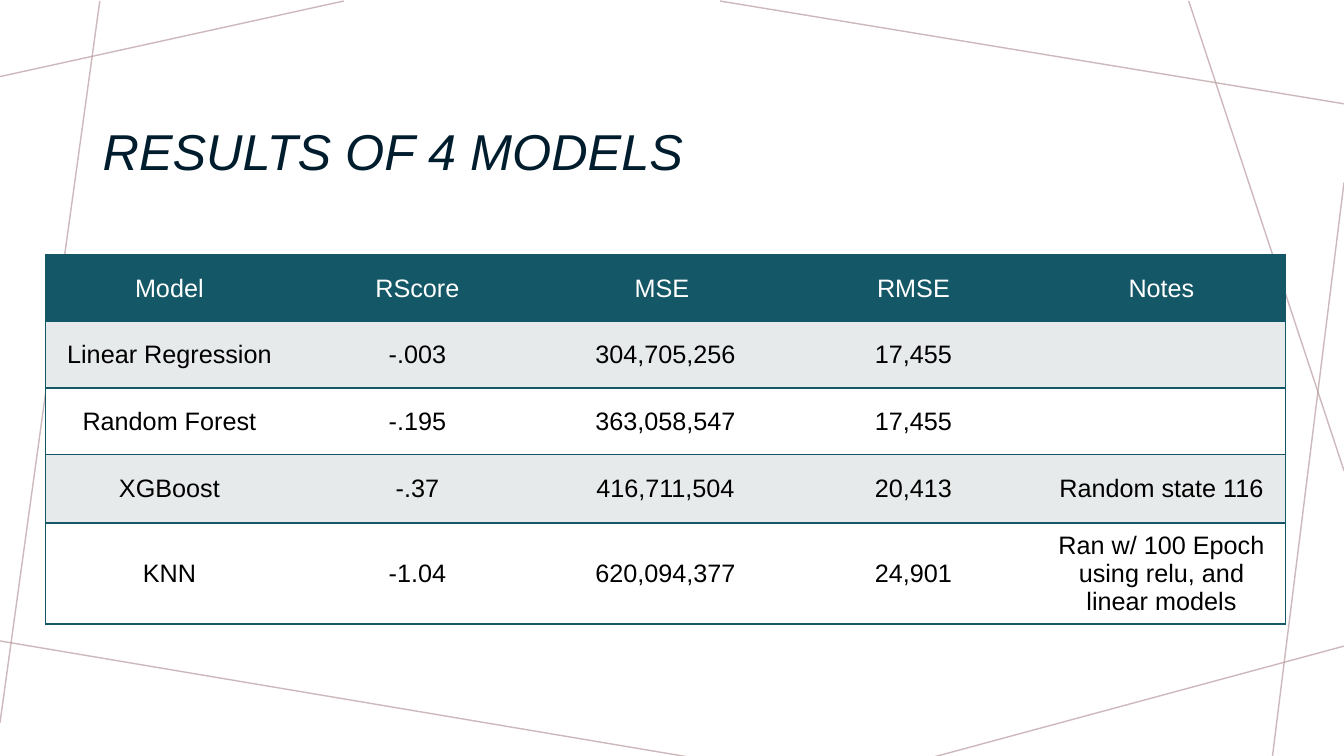
from lxml import etree
from pptx import Presentation
from pptx.dml.color import RGBColor
from pptx.enum.shapes import MSO_CONNECTOR
from pptx.enum.text import MSO_ANCHOR, PP_ALIGN
from pptx.oxml.ns import qn
from pptx.util import Inches, Pt

LINE = MSO_CONNECTOR.STRAIGHT
MIDDLE, BOTTOM = MSO_ANCHOR.MIDDLE, MSO_ANCHOR.BOTTOM
LEFT, CENTER = PP_ALIGN.LEFT, PP_ALIGN.CENTER

TITLE = "RESULTS OF 4 MODELS"
ROWS = [
    ("Model", "RScore", "MSE ", "RMSE", "Notes"),
    ("Linear Regression", "-.003", "304,705,256", "17,455", ""),
    ("Random Forest", "-.195", "363,058,547", "17,455", ""),
    ("XGBoost", "-.37", "416,711,504", "20,413", "Random state 116"),
    ("KNN", "-1.04", "620,094,377", "24,901",
     "Ran w/ 100 Epoch using relu, and linear models"),
]
HEIGHTS = [0.66, 0.66, 0.66, 0.68, 0.94]
WIDTH = 2.46
RAYS = [
    (3.41, 0.01, 0, 0.76),
    (0.99, 0.01, 0, 7.17),
    (6.83, 7.51, -0.05, 6.35),
    (13.33, 6.41, 9.26, 7.51),
    (13.33, 1.81, 12.62, 7.51),
    (13.33, 4.67, 11.79, 0.01),
    (13.33, 1.03, 7.14, 0.01),
]
COLORS = {"ray": "B99B9F", "title": "001D2E", "teal": "145766",
          "band": "E7EAEA", "white": "FFFFFF", "black": "000000"}
PLAIN = "{2D5ABB26-0587-4C30-8999-92F81FD0307C}"  # table style without grid


def color(name):
    return RGBColor.from_string(COLORS[name])


def write(frame, text, align, hue, **look):
    para = frame.paragraphs[0]
    para.alignment = align
    if text:
        run = para.add_run()
        run.text = text
        run.font.color.rgb = color(hue)
        for key, value in {"name": "Arial", **look}.items():
            setattr(run.font, key, value)
    return para


def add_ray(slide, ends):
    ray = slide.shapes.add_connector(LINE, *map(Inches, ends))
    ray.line.width = Pt(1)
    ray.line.color.rgb = color("ray")
    props = ray._element.spPr
    hue = next(props.iter(qn("a:srgbClr")))
    etree.SubElement(hue, qn("a:alpha"), val="70000")
    etree.SubElement(props, qn("a:effectLst"))


def set_edges(cell, shown):
    """Draw the sides named in shown and clear the others."""
    props = cell._tc.get_or_add_tcPr()
    for spot, side in enumerate("LRTB"):
        edge = etree.Element(qn("a:ln" + side), w=str(Pt(1)))
        if side in shown:
            fill = etree.SubElement(edge, qn("a:solidFill"))
            etree.SubElement(fill, qn("a:srgbClr"), val=COLORS["teal"])
        else:
            etree.SubElement(edge, qn("a:noFill"))
        props.insert(spot, edge)


def add_title(slide):
    box = slide.shapes.add_textbox(*map(Inches, (0.92, 0.4, 11.5, 1.45)))
    box.text_frame.word_wrap = True
    box.text_frame.vertical_anchor = BOTTOM
    para = write(box.text_frame, TITLE, LEFT, "title",
                 size=Pt(36), italic=True)
    para.line_spacing = 0.9


def add_results(slide):
    count = len(ROWS[0])
    size = (0.45, 2.53, WIDTH * count, sum(HEIGHTS))
    frame = slide.shapes.add_table(len(ROWS), count, *map(Inches, size))
    table = frame.table
    table.first_row = table.horz_banding = False
    table._tbl.tblPr.find(qn("a:tableStyleId")).text = PLAIN
    for column in table.columns:
        column.width = Inches(WIDTH)
    for r, row in enumerate(ROWS):
        table.rows[r].height = Inches(HEIGHTS[r])
        fill = "teal" if r == 0 else "band" if r % 2 else "white"
        hue = "black" if r else "white"
        for c, text in enumerate(row):
            cell = table.cell(r, c)
            cell.vertical_anchor = MIDDLE
            cell.fill.solid()
            cell.fill.fore_color.rgb = color(fill)
            write(cell.text_frame, text, CENTER, hue,
                  size=Pt(18), bold=False)
            sides = {0: "L", count - 1: "R"}.get(c, "")
            set_edges(cell, "TB" + sides)


def main():
    deck = Presentation()
    deck.slide_width, deck.slide_height = Inches(13.33), Inches(7.5)
    slide = deck.slides.add_slide(deck.slide_layouts[6])
    for ends in RAYS:
        add_ray(slide, ends)
    add_title(slide)
    add_results(slide)
    deck.save("out.pptx")


if __name__ == "__main__":
    main()
